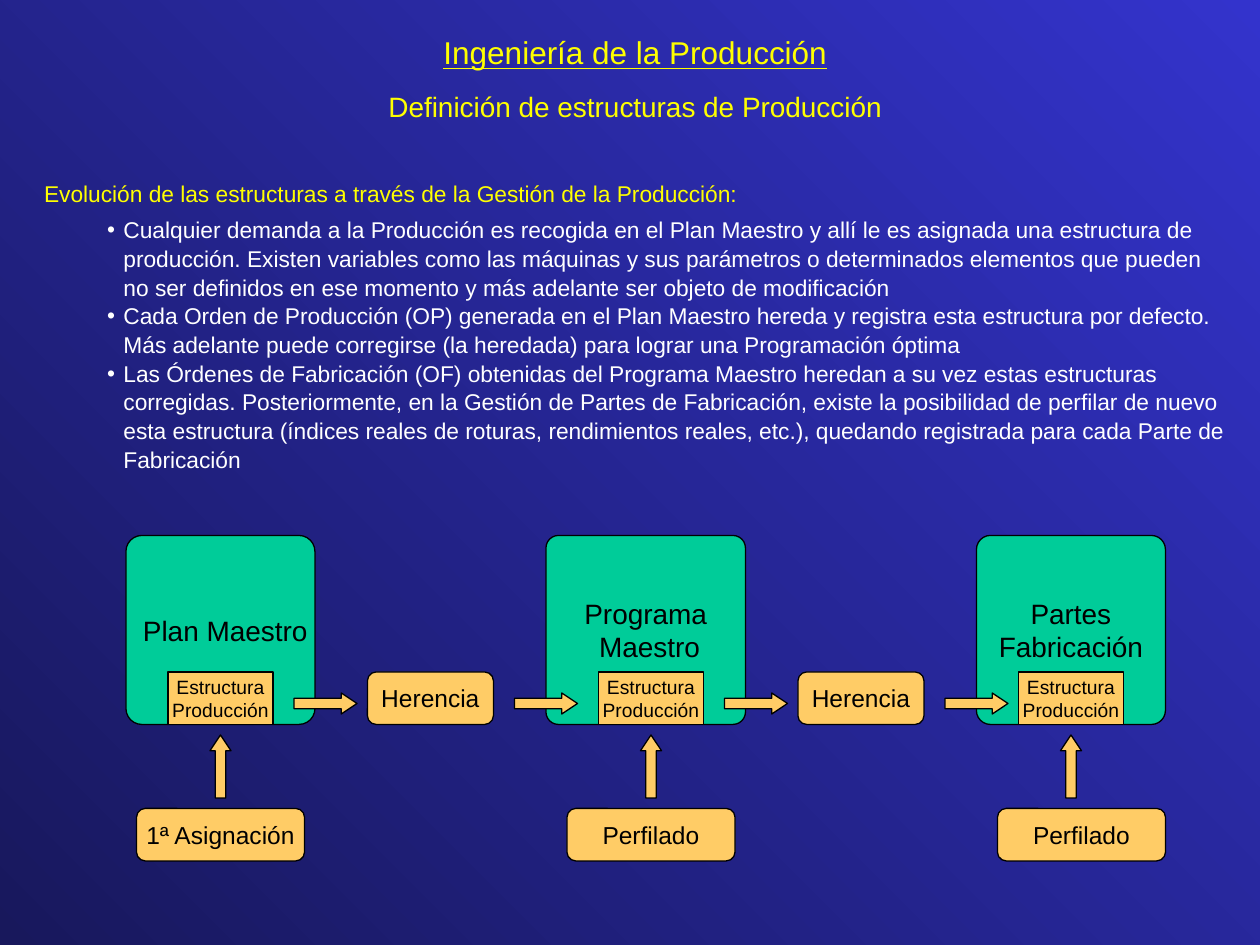
from pptx import Presentation
from pptx.dml.color import RGBColor
from pptx.enum.shapes import MSO_SHAPE
from pptx.enum.text import MSO_ANCHOR, MSO_AUTO_SIZE, PP_ALIGN
from pptx.oxml.xmlchemy import OxmlElement
from pptx.util import Pt

YELLOW, WHITE, BLACK = "FFFF00", "FFFFFF", "000000"
GREEN, ORANGE = "00CC99", "FFCC66"
NAVY, BLUE = "18185C", "3333CC"

TITLE = "Ingeniería de la Producción"
SUBTITLE = "Definición de estructuras de Producción"
HEADING = "Evolución de las estructuras a través de la Gestión de la Producción:"
BULLETS = [
    "Cualquier demanda a la Producción es recogida en el Plan Maestro y allí le es asignada "
    "una estructura de producción. Existen variables como las máquinas y sus parámetros o "
    "determinados elementos que pueden no ser definidos en ese momento y más adelante ser "
    "objeto de modificación",
    "Cada Orden de Producción (OP) generada en el Plan Maestro hereda y registra esta "
    "estructura por defecto. Más adelante puede corregirse (la heredada) para lograr una "
    "Programación óptima",
    "Las Órdenes de Fabricación (OF) obtenidas del Programa Maestro heredan a su vez estas "
    "estructuras corregidas. Posteriormente, en la Gestión de Partes de Fabricación, existe "
    "la posibilidad de perfilar de nuevo esta estructura (índices reales de roturas, "
    "rendimientos reales, etc.), quedando registrada para cada Parte de Fabricación",
]
STAGES = [
    dict(lines=["Plan Maestro"], left=72, width=108, corner=0.084, align=PP_ALIGN.LEFT,
         structure=96, action="1ª Asignación", action_left=78),
    dict(lines=["Programa", " Maestro"], left=312, width=114, corner=0.066,
         align=PP_ALIGN.CENTER, structure=342, action="Perfilado", action_left=324),
    dict(lines=["Partes", "Fabricación"], left=558, width=108, corner=0.074,
         align=PP_ALIGN.CENTER, structure=582, action="Perfilado", action_left=570),
]
STRUCTURE = ["Estructura", "Producción"]
INHERITANCE_LEFTS = [210, 456]
FLOW_ARROW_LEFTS = [180, 306, 426, 552]
STAGE_TOP, ROW_TOP, ARROW_TOP, ACTION_TOP = 306, 384, 420, 462
BOX_HEIGHT, ARROW_WIDTH, ARROW_HEIGHT = 30, 12, 36


def rgb(value):
    return RGBColor.from_string(value)


def add_run(p, text, size, color, underline=None):
    r = p.add_run()
    r.text = text
    r.font.name = "Arial"
    r.font.size = Pt(size)
    r.font.color.rgb = rgb(color)
    r.font.underline = underline


def next_paragraph(tf, first, align, before=0, spacing=1.0):
    p = tf.paragraphs[0] if first else tf.add_paragraph()
    p.alignment = align
    p.space_before = Pt(before)
    p.line_spacing = spacing
    return p


def place(sp, left, top, width, height):
    sp.left, sp.top, sp.width, sp.height = Pt(left), Pt(top), Pt(width), Pt(height)
    tf = sp.text_frame
    tf.word_wrap = True
    tf.auto_size = MSO_AUTO_SIZE.NONE
    tf.vertical_anchor = MSO_ANCHOR.TOP
    tf.margin_top = tf.margin_bottom = 0
    return tf


def set_bullet(p, char, left, indent):
    pPr = p._p.get_or_add_pPr()
    pPr.set("marL", str(Pt(left)))
    pPr.set("indent", str(Pt(indent)))
    bullet = OxmlElement("a:buChar" if char else "a:buNone")
    if char:
        bullet.set("char", char)
    pPr.append(bullet)


def add_shape(s, kind, box, fill, adjustments=()):
    sp = s.shapes.add_shape(kind, *[Pt(v) for v in box])
    for i, value in enumerate(adjustments):
        sp.adjustments[i] = value
    sp.shadow.inherit = False
    sp.fill.solid()
    sp.fill.fore_color.rgb = rgb(fill)
    sp.line.color.rgb = rgb(BLACK)
    sp.line.width = Pt(0.75)
    return sp


def add_box(s, lines, box, fill, size, corner=None, align=PP_ALIGN.CENTER):
    kind = MSO_SHAPE.ROUNDED_RECTANGLE if corner else MSO_SHAPE.RECTANGLE
    sp = add_shape(s, kind, box, fill, [corner] if corner else [])
    tf = sp.text_frame
    tf.word_wrap = False
    tf.vertical_anchor = MSO_ANCHOR.MIDDLE
    for i, line in enumerate(lines):
        add_run(next_paragraph(tf, i == 0, align), line, size, BLACK)


def add_arrow(s, left, top, rotation=0):
    box = (left, top, ARROW_WIDTH, ARROW_HEIGHT)
    sp = add_shape(s, MSO_SHAPE.UP_ARROW, box, ORANGE, [0.5, 0.75])
    sp.rotation = rotation


def add_text(s):
    title, body = s.placeholders
    tf = place(title, 18, 18, 690, 60)
    add_run(next_paragraph(tf, True, PP_ALIGN.CENTER, 0, 1.05), TITLE, 18, YELLOW, True)
    add_run(next_paragraph(tf, False, PP_ALIGN.CENTER, 9.5, 1.05), SUBTITLE, 16, YELLOW)

    tf = place(body, 18, 102, 690, 162)
    p = next_paragraph(tf, True, PP_ALIGN.LEFT, 0, 1.05)
    set_bullet(p, None, 0, 0)
    add_run(p, HEADING, 13, YELLOW)
    for i, text in enumerate(BULLETS):
        p = next_paragraph(tf, False, PP_ALIGN.LEFT, 0 if i else 4.4, 1.05)
        p.level = 1
        set_bullet(p, "•", 45.36, -9.36)
        add_run(p, text, 13, WHITE)


def add_diagram(s):
    for left in INHERITANCE_LEFTS:
        add_box(s, ["Herencia"], (left, ROW_TOP, 72, BOX_HEIGHT), ORANGE, 14, 0.167)
    for stage in STAGES:
        add_box(s, stage["lines"], (stage["left"], STAGE_TOP, stage["width"], 108),
                GREEN, 16, stage["corner"], stage["align"])
        add_box(s, STRUCTURE, (stage["structure"], ROW_TOP, 60, BOX_HEIGHT), ORANGE, 11)
        add_arrow(s, stage["structure"] + (60 - ARROW_WIDTH) / 2, ARROW_TOP)
        add_box(s, [stage["action"]], (stage["action_left"], ACTION_TOP, 96, BOX_HEIGHT),
                ORANGE, 14, 0.167)
    for left in FLOW_ARROW_LEFTS:
        add_arrow(s, left, ROW_TOP, 90)


def main():
    prs = Presentation()
    prs.slide_width, prs.slide_height = Pt(720), Pt(540)
    s = prs.slides.add_slide(prs.slide_layouts[1])
    fill = s.background.fill
    fill.gradient()
    fill.gradient_angle = 45
    for stop, color in zip(fill.gradient_stops, (NAVY, BLUE)):
        stop.color.rgb = rgb(color)
    add_text(s)
    add_diagram(s)
    prs.save("out.pptx")


if __name__ == "__main__":
    main()
